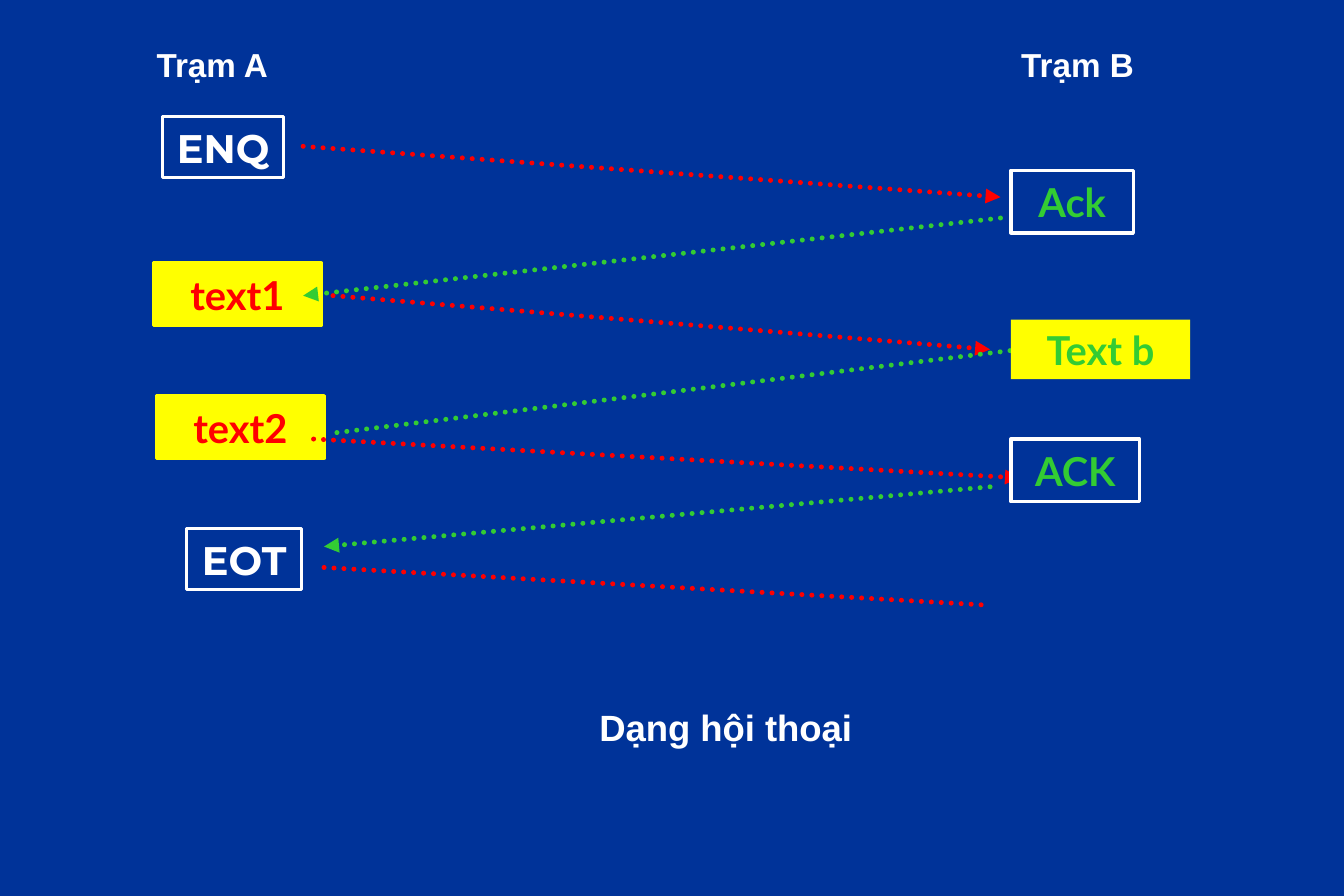
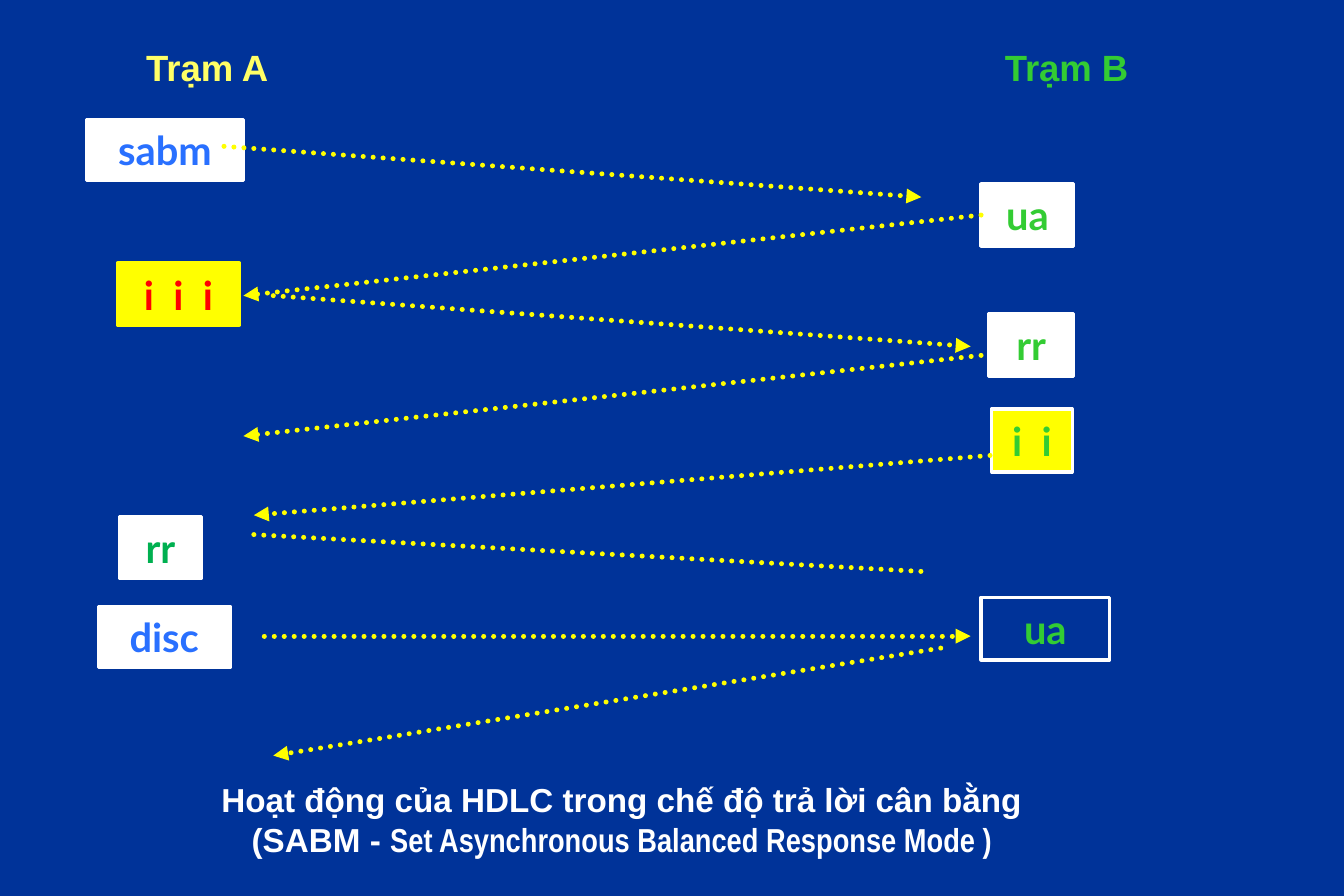
import pptx
import pptx.util
import pptx.dml.color
import pptx.enum.dml
import pptx.enum.shapes
import pptx.enum.text
import pptx.oxml.ns
import lxml.etree

HUES = {
    "navy": "003399", "white": "FFFFFF", "red": "FF0000", "green": "33CC33",
    "leaf": "00B050", "gold": "FFFF00", "pale": "FFFF66", "sky": "2970FF",
}
COLS, ROWS = 90, 60
ALIGN = pptx.enum.text.PP_ALIGN
ANCHOR = pptx.enum.text.MSO_ANCHOR


def hue(name):
    return pptx.dml.color.RGBColor.from_string(HUES[name])


def write(frame, lines, size=24, font="Lato", color="white",
          align=ALIGN.CENTER, anchor=ANCHOR.MIDDLE, wrap=True):
    """Each line is a list of runs; a run is text or a (text, font) pair."""
    frame.word_wrap = wrap
    frame.vertical_anchor = anchor
    for i, line in enumerate(lines):
        para = frame.paragraphs[0] if i == 0 else frame.add_paragraph()
        para.alignment = align
        for part in line:
            text, face = (part, font) if isinstance(part, str) else part
            run = para.add_run()
            run.text = text
            run.font.name = face
            run.font.size = pptx.util.Pt(size)
            run.font.bold = True
            run.font.color.rgb = hue(color)


class Deck:
    def __init__(self):
        self.prs = pptx.Presentation()
        self.prs.slide_width = pptx.util.Inches(11.25)
        self.prs.slide_height = pptx.util.Inches(7.5)
        fill = self.prs.slide_master.background.fill
        fill.solid()
        fill.fore_color.rgb = hue("navy")
        self.slide = None

    def page(self):
        self.slide = self.prs.slides.add_slide(self.prs.slide_layouts[6])

    def grid(self, col, row):
        return (round(self.prs.slide_width * col / COLS),
                round(self.prs.slide_height * row / ROWS))

    def label(self, col, row, wide, high, lines, **style):
        area = self.slide.shapes.add_textbox(
            *self.grid(col, row), *self.grid(wide, high))
        write(area.text_frame, lines, font="Arial", anchor=ANCHOR.TOP, **style)

    def heads(self, left, right, size, tints):
        for col, name, tint in zip((left, right), "AB", tints):
            self.label(col, 2.6, 12, 3.8, [[f"Trạm {name}"]], size=size,
                       color=tint, align=ALIGN.LEFT)

    def box(self, col, row, wide, high, text, color, fill=None, line=None,
            font="Lato"):
        rect = self.slide.shapes.add_shape(
            pptx.enum.shapes.MSO_SHAPE.RECTANGLE,
            *self.grid(col, row), *self.grid(wide, high))
        rect.shadow.inherit = False
        if fill:
            rect.fill.solid()
            rect.fill.fore_color.rgb = hue(fill)
        else:
            rect.fill.background()
        if line:
            rect.line.color.rgb = hue(line)
            rect.line.width = pptx.util.Pt(2)
        else:
            rect.line.fill.background()
        write(rect.text_frame, [[text]], color=color, font=font, wrap=False)
        return rect

    def send(self, start, end, color, arrow=True):
        """Dotted line from sender to receiver."""
        link = self.slide.shapes.add_connector(
            pptx.enum.shapes.MSO_CONNECTOR.STRAIGHT,
            *self.grid(*start), *self.grid(*end))
        link.line.color.rgb = hue(color)
        link.line.width = pptx.util.Pt(3)
        link.line.dash_style = pptx.enum.dml.MSO_LINE.ROUND_DOT
        qn = pptx.oxml.ns.qn
        props = link._element.spPr
        stroke = props.find(qn("a:ln"))
        stroke.set("cap", "rnd")
        if arrow:
            lxml.etree.SubElement(stroke, qn("a:tailEnd"), type="triangle")
        lxml.etree.SubElement(props, qn("a:effectLst"))
        return link


def talk(deck):
    deck.page()
    deck.heads(9.7, 67.6, 20, ("white", "white"))

    # Station A frames
    for col, row, wide, text in ((10.9, 7.8, 8.1, "ENQ"),
                                 (12.5, 35.4, 7.7, "EOT")):
        deck.box(col, row, wide, 4.1, text, "white", line="white",
                 font="Montserrat")
    for col, row, text in ((10.3, 17.6, "text1"), (10.5, 26.5, "text2")):
        deck.box(col, row, 11.2, 4.2, text, "red", "gold", "gold")

    # Messages in order of time
    for start, end, color, arrow in (
            ((20.3, 9.8), (67, 13.2), "red", True),
            ((67, 14.6), (20.3, 19.8), "green", True),
            ((22.3, 19.8), (66.3, 23.4), "red", True),
            ((68.3, 23.4), (22.3, 29), "green", False),
            ((21, 29.4), (68.3, 32), "red", True),
            ((66.3, 32.6), (21.7, 36.6), "green", True),
            ((21.7, 38), (65.7, 40.5), "red", False)):
        deck.send(start, end, color, arrow)

    # Station B frames
    for row, wide, high, text, fill, line in (
            (11.4, 8.2, 4.2, "Ack", "navy", "white"),
            (21.4, 12, 4, "Text b", "gold", None),
            (29.4, 8.6, 4.2, "ACK", "navy", "white")):
        deck.box(67.7, row, wide, high, text, "green", fill, line)

    deck.label(34.3, 46.8, 28.6, 3.8, [["Dạng hội thoại"]], size=22)


def hdlc(deck):
    deck.page()
    deck.heads(9, 66.5, 22, ("pale", "green"))

    # Station A frames
    for col, row, wide, high, text, color, fill in (
            (5.8, 8, 10.5, 4.1, "sabm", "sky", "white"),
            (7.9, 17.6, 8.1, 4.2, "i  i  i", "red", "gold"),
            (8, 34.6, 5.5, 4.1, "rr", "leaf", "white"),
            (6.6, 40.6, 8.8, 4.1, "disc", "sky", "white")):
        deck.box(col, row, wide, high, text, color, fill, fill)

    # Station B frames
    reply, *_ = [
        deck.box(col, row, wide, 4.2, text, "green", fill, "white")
        for col, row, wide, text, fill in (
            (65.7, 12.3, 6.2, "ua", "white"),
            (66.2, 21, 5.7, "rr", "white"),
            (66.4, 27.4, 5.4, "i  i", "gold"),
            (65.7, 40, 8.6, "ua", "navy"))]

    # Messages in order of time
    links = [
        deck.send(start, end, "gold", arrow)
        for start, end, arrow in (
            ((15, 9.8), (61.7, 13.2), True),
            ((65.7, 14.4), (16.3, 19.8), True),
            ((18.3, 19.8), (65, 23.2), True),
            ((65.7, 23.8), (16.3, 29.2), True),
            ((66.3, 30.5), (17, 34.5), True),
            ((17, 35.8), (62.3, 38.3), False),
            ((17.7, 42.6), (65, 42.6), True),
            ((63, 43.4), (18.3, 50.6), True))]
    links[1].begin_connect(reply, 1)

    deck.label(6.3, 51.8, 70.7, 6.2, [
        ["Hoạt động của HDLC trong chế độ trả lời cân bằng"],
        ["(SABM - ",
         ("Set Asynchronous Balanced Response Mode )", "Arial Narrow")],
    ], size=20)


def main():
    deck = Deck()
    talk(deck)
    hdlc(deck)
    deck.prs.save("out.pptx")


if __name__ == "__main__":
    main()
